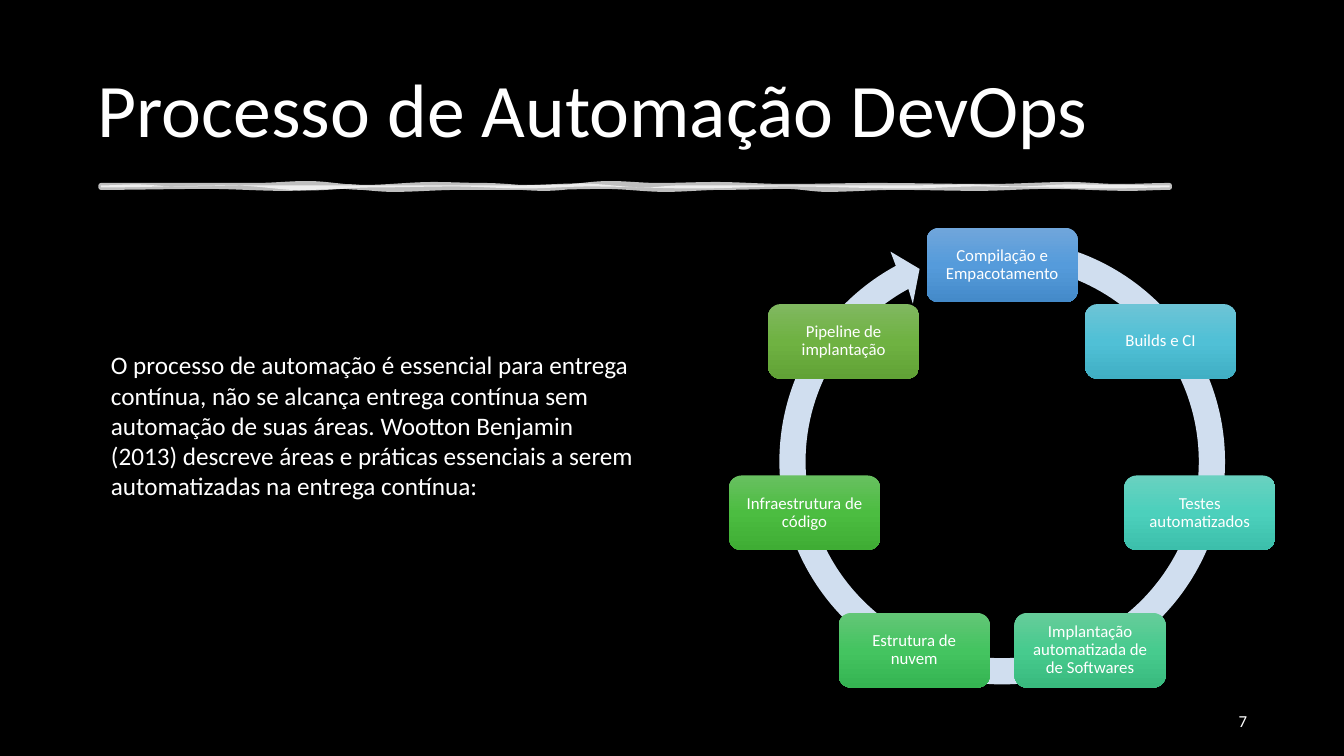
from copy import deepcopy
from itertools import pairwise
from math import cos, radians, sin, tan

from pptx import Presentation
from pptx.dml.color import RGBColor
from pptx.enum.shapes import MSO_SHAPE as Preset
from pptx.enum.text import MSO_ANCHOR as Anchor, PP_ALIGN as Align
from pptx.oxml import parse_xml
from pptx.oxml.ns import nsdecls, qn
from pptx.util import Inches, Pt

BLACK = RGBColor(0x00, 0x00, 0x00)
WHITE = RGBColor(0xFF, 0xFF, 0xFF)
RING = RGBColor(0xD0, 0xDE, 0xEF)
FONT = "Calibri"

STAGES = [
    ("Compilação e Empacotamento", ("70A6DB", "559BDB", "448AC9")),
    ("Builds e CI", ("6DC4D6", "50C0D6", "40AFC4")),
    ("Testes automatizados", ("69D1C0", "4CD0BC", "3CBFAB")),
    ("Implantação automatizada de de Softwares", ("66CC9A", "47CB8E", "39BA7E")),
    ("Estrutura de nuvem", ("63C677", "44C460", "35B452")),
    ("Infraestrutura de código", ("68C060", "4CBD41", "3FAD34")),
    ("Pipeline de implantação", ("80B860", "6FB242", "61A236")),
]

BRUSH_FILL = [
    (0, 0.02), (0.35, 0.01), (0.75, 0.03), (1.53, 0.02), (2.29, 0.02),
    (3.15, 0.02), (4.12, 0.02), (4.75, 0), (5.4, 0.04), (5.74, 0.02),
    (6.6, 0.02), (7.36, 0.02), (8.01, 0.02), (8.6, 0.01), (9.1, 0.03),
    (9.6, 0.01), (10.6, 0.02), (10.6, 0.04), (10, 0.05), (9.3, 0.04),
    (8.7, 0.03), (8, 0.05), (6.8, 0.03), (5.9, 0.05), (4.85, 0.03),
    (4.2, 0.05), (3.5, 0.03), (2.7, 0.04), (2.05, 0.07), (1.3, 0.02), (0, 0.04),
]
BRUSH_LINE = [
    (0, 0.02), (1.09, 0.02), (1.53, 0.02), (2.05, 0), (2.6, 0.04),
    (3.3, 0.01), (3.8, 0.02), (4.4, 0.05), (5.05, 0), (5.53, 0.02),
    (6.1, 0.01), (6.8, 0.03), (7.69, 0.02), (8.8, 0.03), (9.6, 0.01),
    (10.1, 0.03), (10.6, 0.02), (10.6, 0.04), (10.2, 0.05), (9.4, 0.03),
    (8.7, 0.05), (7.89, 0.04), (7.2, 0.06), (6.8, 0.03), (6.16, 0.04),
    (5.6, 0.06), (5, 0.03), (4.32, 0.04), (3.56, 0.04), (2.9, 0.06),
    (2.4, 0.03), (1.82, 0.05), (1.06, 0.03), (0, 0.04),
]


def write(frame, text, size, align=Align.LEFT, spacing=None, side=0.05):
    """Put one white paragraph with narrow margins into a text frame."""
    frame.word_wrap = True
    frame.margin_left = frame.margin_right = Inches(side)
    frame.margin_top = frame.margin_bottom = Inches(0.05)
    para = frame.paragraphs[0]
    para.text = text
    para.alignment = align
    para.line_spacing = spacing
    para.font.size = Pt(size)
    para.font.name = FONT
    para.font.color.rgb = WHITE


def add_text(page, box, text, size, align=Align.LEFT):
    """Add a text box holding one paragraph."""
    frame = page.shapes.add_textbox(*map(Inches, box)).text_frame
    write(frame, text, size, align)
    return frame


def add_outline(page, start, segments):
    """Add a closed outline; one point makes a line, three make a curve."""
    builder = page.shapes.build_freeform(*map(Inches, start))
    builder.add_line_segments(
        [(Inches(x), Inches(y)) for segment in segments for x, y in segment])
    builder.add_line_segments([], close=True)
    shape = builder.convert_to_shape()
    shape.shadow.inherit = False
    lines = iter(shape.element.spPr.findall(".//" + qn("a:lnTo")))
    for segment in segments:
        group = [next(lines) for _ in segment]
        if len(group) == 3:
            curve = parse_xml(f'<a:cubicBezTo {nsdecls("a")}/>')
            group[0].addprevious(curve)
            for line in group:
                curve.append(line[0])
                line.getparent().remove(line)
    return shape


def add_title(page, box, text):
    """Place the title placeholder and format its text."""
    title = page.shapes.title
    title.left, title.top, title.width, title.height = map(Inches, box)
    title.text_frame.vertical_anchor = Anchor.MIDDLE
    write(title.text_frame, text, 54, spacing=0.9)


def add_wave(page, left, top, knots):
    """Add a ribbon whose edge flows smoothly through the knots."""
    points = [(left + x, top + y) for x, y in knots]
    curves = [
        [((2 * x1 + x2) / 3, y1), ((x1 + 2 * x2) / 3, y2), (x2, y2)]
        for (x1, y1), (x2, y2) in pairwise(points)
    ]
    return add_outline(page, points[0], curves)


def add_brush_stroke(page, left, top):
    """Draw the translucent hand-drawn rule as a filled and a lined stroke."""
    filled = add_wave(page, left, top, BRUSH_FILL)
    filled.fill.solid()
    filled.fill.fore_color.rgb = WHITE
    filled.line.fill.background()
    lined = add_wave(page, left, top, BRUSH_LINE)
    lined.fill.background()
    lined.line.color.rgb = WHITE
    lined.line.width = Pt(3.5)
    for stroke in (filled, lined):
        for color in stroke.element.spPr.iter(qn("a:srgbClr")):
            color.append(parse_xml(f'<a:alpha {nsdecls("a")} val="75000"/>'))


def polar(center, radius, angle):
    """Return the point at a clockwise angle from twelve o'clock."""
    x, y = center
    return x + radius * sin(radians(angle)), y - radius * cos(radians(angle))


def arc(center, radius, start, end):
    """Return the curve segment between two angles of a circle."""
    reach = radius * 4 / 3 * tan(radians(end - start) / 4)
    (x1, y1), (x2, y2) = (polar(center, radius, a) for a in (start, end))
    a, b = radians(start), radians(end)
    return [(x1 + reach * cos(a), y1 + reach * sin(a)),
            (x2 - reach * cos(b), y2 - reach * sin(b)), (x2, y2)]


def add_ring(page, center, outer, inner):
    """Draw the clockwise circular arrow."""
    angles = [12.8, 90, 180, 270, 331.5]
    head = [(2.36, 332), (2.08, 336.8), (1.8, 330.5), (inner, angles[-1])]
    segments = [arc(center, outer, a, b) for a, b in pairwise(angles)]
    segments += [[polar(center, radius, angle)] for radius, angle in head]
    segments += [arc(center, inner, a, b) for a, b in pairwise(angles[::-1])]
    ring = add_outline(page, polar(center, outer, angles[0]), segments)
    ring.fill.solid()
    ring.fill.fore_color.rgb = RING
    ring.line.fill.background()


def add_stage(page, center, size, text, colors):
    """Draw one rounded stage with a vertical three-colour gradient."""
    (x, y), (width, height) = center, size
    box = (x - width / 2, y - height / 2, width, height)
    stage = page.shapes.add_shape(Preset.ROUNDED_RECTANGLE, *map(Inches, box))
    stage.shadow.inherit = False
    stage.line.fill.background()
    stage.fill.gradient()
    stage.fill.gradient_angle = 270
    top_stop = stage.element.spPr.find(".//" + qn("a:gs"))
    top_stop.addnext(deepcopy(top_stop))
    for i, (stop, color) in enumerate(zip(stage.fill.gradient_stops, colors)):
        stop.position = i / 2
        stop.color.rgb = RGBColor.from_string(color)
    stage.text_frame.vertical_anchor = Anchor.MIDDLE
    write(stage.text_frame, text, 12, Align.CENTER, 0.9, side=0.08)


def add_cycle(page, box):
    """Draw the ring and spread the stages evenly around it."""
    left, top, width, height = box
    size, radius = (1.5, 0.74), 2.01
    middle = left + width / 2
    add_ring(page, (middle, top + height / 2 + 0.04), 2.21, 1.95)
    hub = (middle, top + size[1] / 2 + radius)
    for i, (text, colors) in enumerate(STAGES):
        spot = polar(hub, radius, 360 * i / len(STAGES))
        add_stage(page, spot, size, text, colors)


def main():
    """Build and save the slide."""
    deck = Presentation()
    deck.slide_width, deck.slide_height = Inches(13.33), Inches(7.5)
    page = deck.slides.add_slide(deck.slide_layouts[5])
    page.background.fill.solid()
    page.background.fill.fore_color.rgb = BLACK
    add_title(page, (0.92, 0.4, 11.5, 1.45), "Processo de Automação DevOps")
    add_brush_stroke(page, 1, 1.82)
    add_text(
        page, (1.05, 3.42, 5.32, 1.64),
        "O processo de automação é essencial para entrega contínua, não se "
        "alcança entrega contínua sem automação de suas áreas. Wootton Benjamin "
        "(2013) descreve áreas e práticas essenciais a serem automatizadas na "
        "entrega contínua:", 18)
    add_cycle(page, (7.24, 2.26, 5.4, 4.56))
    number = add_text(page, (12.22, 7.02, 0.2, 0.27), "7", 12, Align.RIGHT)
    number.vertical_anchor = Anchor.MIDDLE
    number.word_wrap = False
    deck.save("out.pptx")


if __name__ == "__main__":
    main()
